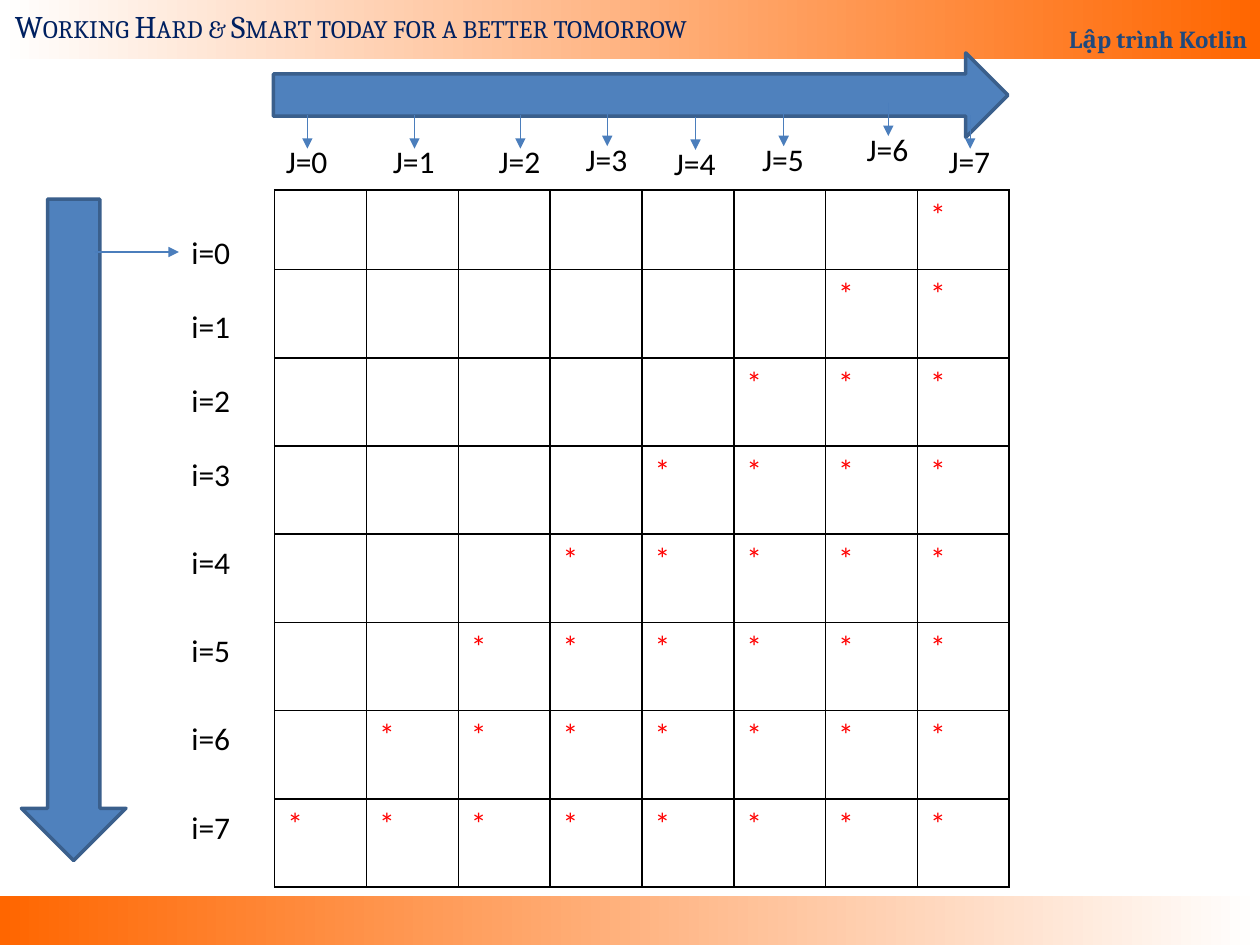
from lxml.etree import SubElement
from pptx import Presentation
from pptx.dml.color import RGBColor
from pptx.enum.shapes import MSO_CONNECTOR, MSO_SHAPE
from pptx.enum.text import MSO_ANCHOR, MSO_AUTO_SIZE, PP_ALIGN
from pptx.oxml.ns import qn
from pptx.util import Inches, Pt

# The slide is a grid of 100 columns by 75 rows
COLUMNS, ROWS = 100, 75
UNIT = Inches(0.1)

SIZE = 8
TABLE_LEFT, TABLE_TOP = 21.8, 15.1
CELL_WIDTH, FIRST_ROW, OTHER_ROWS = 7.29, 6.3, 7
# Column and row of the arrow tip above each J label
J_TIPS = [(24.4, 11.8), (32.9, 11.8), (41.3, 11.8), (48.2, 11.6),
          (55.2, 11.9), (62.2, 11.6), (70.5, 10.8), (77, 11.8)]

ORANGE, WHITE = "FF6600", "FFFFFF"
LABEL = {"name": "Calibri", "size": Pt(18), "color": "000000"}
STAR = {**LABEL, "color": "FF0000"}
MOTTO = {"name": "Cambria", "size": Pt(18), "color": "002060"}
COURSE = {"name": "Cambria", "size": Pt(14), "bold": True, "color": "1F497D"}


def grid(*lengths):
    return [round(length * UNIT) for length in lengths]


def rgb(code):
    return RGBColor.from_string(code)


def write(frame, text, style):
    run = frame.paragraphs[0].add_run()
    run.text = text
    for key, value in style.items():
        if key == "color":
            run.font.color.rgb = rgb(value)
        else:
            setattr(run.font, key, value)
    return run


def add_band(slide, top, height, left_color, right_color):
    band = slide.shapes.add_shape(MSO_SHAPE.RECTANGLE, *grid(0, top, COLUMNS, height))
    band.shadow.inherit = False
    band.line.fill.background()
    band.fill.gradient()
    band.fill.gradient_angle = 0
    for stop, color in zip(band.fill.gradient_stops, (left_color, right_color)):
        stop.color.rgb = rgb(color)
    return band


def add_text(slide, text, style, left, top, width, height=4):
    box = slide.shapes.add_textbox(*grid(left, top, width, height))
    box.text_frame.word_wrap = False
    box.text_frame.auto_size = MSO_AUTO_SIZE.SHAPE_TO_FIT_TEXT
    return box, write(box.text_frame, text, style)


def add_block_arrow(slide, kind, *place):
    arrow = slide.shapes.add_shape(kind, *grid(*place))
    arrow.shadow.inherit = False
    arrow.fill.solid()
    arrow.fill.fore_color.rgb = rgb("4F81BD")
    arrow.line.color.rgb = rgb("3A5F8C")
    arrow.line.width = Pt(2)


def add_pointer(slide, *ends):
    pointer = slide.shapes.add_connector(MSO_CONNECTOR.STRAIGHT, *grid(*ends))
    pointer.line.color.rgb = rgb("4B7EBC")
    pointer.line.width = Pt(0.75)
    SubElement(pointer.line._get_or_add_ln(), qn("a:tailEnd"), type="triangle")
    SubElement(pointer._element.spPr, qn("a:effectLst"))
    return pointer


def add_borders(cell):
    properties = cell._tc.get_or_add_tcPr()
    for side in ("lnL", "lnR", "lnT", "lnB"):
        border = SubElement(properties, qn(f"a:{side}"), w=str(Pt(1)))
        fill = SubElement(border, qn("a:solidFill"))
        SubElement(fill, qn("a:srgbClr"), val="000000")


def add_star_table(slide):
    """Row i holds stars in its last i + 1 columns."""
    heights = [FIRST_ROW] + [OTHER_ROWS] * (SIZE - 1)
    place = grid(TABLE_LEFT, TABLE_TOP, CELL_WIDTH * SIZE, sum(heights))
    table = slide.shapes.add_table(SIZE, SIZE, *place).table
    table.first_row = table.horz_banding = False
    for column in table.columns:
        column.width, = grid(CELL_WIDTH)
    for i, height in enumerate(heights):
        table.rows[i].height, = grid(height)
        for j in range(SIZE):
            cell = table.cell(i, j)
            add_borders(cell)
            cell.fill.background()
            if i + j >= SIZE - 1:
                write(cell.text_frame, "*", STAR)


def add_header_and_footer(slide):
    add_band(slide, 71.1, 3.9, ORANGE, WHITE)
    header = add_band(slide, -0.6, 5.3, WHITE, ORANGE).text_frame
    header.vertical_anchor = MSO_ANCHOR.BOTTOM
    header.paragraphs[0].alignment = PP_ALIGN.RIGHT
    header.paragraphs[0].line_spacing = 1.8
    write(header, "Lập trình Kotlin", COURSE)
    _, motto = add_text(slide, "Working Hard & Smart today for a better tomorrow",
                        MOTTO, 0.2, 0.1, 59)
    motto._r.get_or_add_rPr().set("cap", "small")


def add_column_labels(slide):
    for j, (center, tip) in enumerate(J_TIPS):
        add_pointer(slide, center, tip - 2.65, center, tip)
        add_text(slide, f"J={j}", LABEL, center - 2.7, tip - 1, 5.4)


def add_row_labels(slide):
    left, first_top = 14.2, 18
    for i in range(SIZE):
        top = first_top + 5.87 * min(i, 3) + OTHER_ROWS * max(i - 3, 0)
        label, _ = add_text(slide, f"i={i}", LABEL, left, top, 5.1)
        if i == 0:
            middle = top + 2
            add_pointer(slide, 7.5, middle, left, middle).end_connect(label, 1)


def main():
    presentation = Presentation()
    presentation.slide_width, presentation.slide_height = grid(COLUMNS, ROWS)
    slide = presentation.slides.add_slide(presentation.slide_layouts[6])
    add_header_and_footer(slide)
    add_star_table(slide)
    add_block_arrow(slide, MSO_SHAPE.RIGHT_ARROW, 21.7, 4.2, 58.3, 6.7)
    add_block_arrow(slide, MSO_SHAPE.DOWN_ARROW, 1.7, 15.8, 8.3, 52.5)
    add_column_labels(slide)
    add_row_labels(slide)
    presentation.save("out.pptx")


if __name__ == "__main__":
    main()
